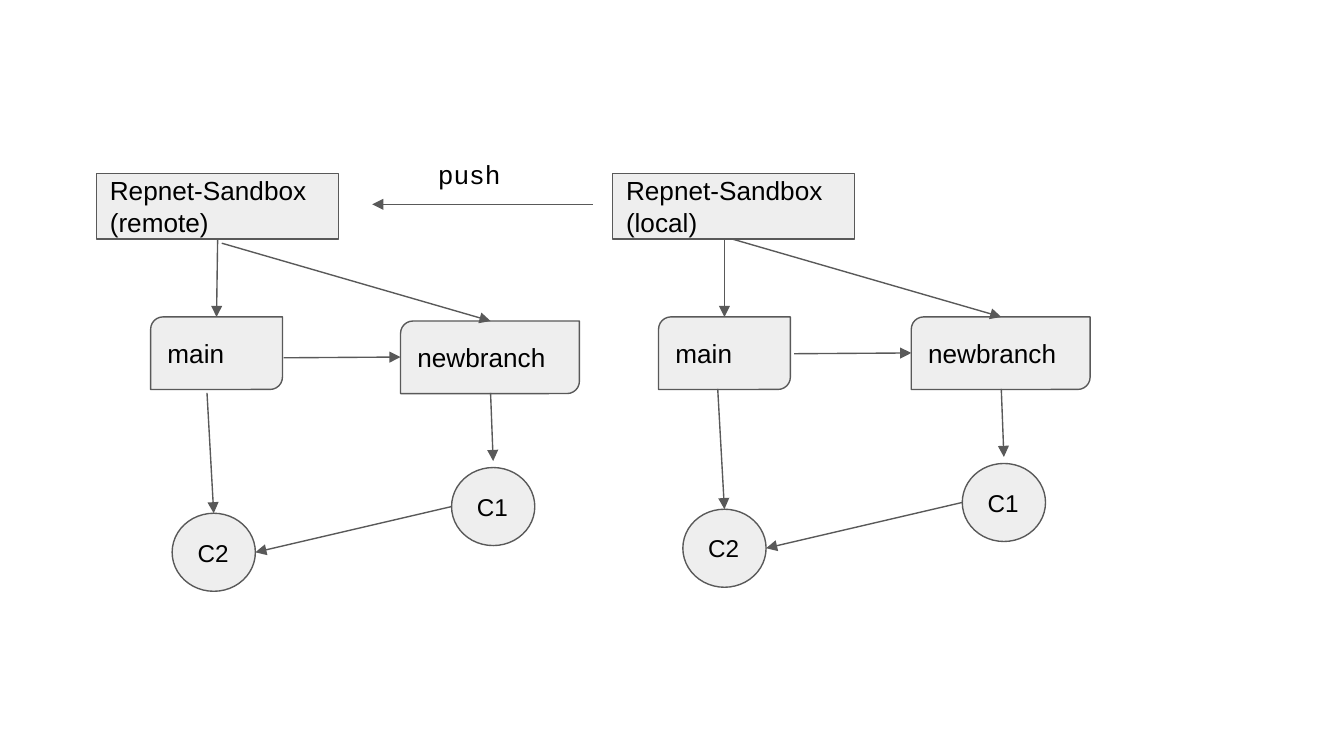
from pptx import Presentation
from pptx.util import Pt
from pptx.dml.color import RGBColor
from pptx.enum.shapes import MSO_SHAPE as Form, MSO_CONNECTOR as Link
from pptx.enum.text import PP_ALIGN as Align, MSO_ANCHOR as Anchor, MSO_AUTO_SIZE as Fit
from lxml.etree import SubElement

INK, EDGE, PALE = "000000", "595959", "EEEEEE"
DRAW = "{http://schemas.openxmlformats.org/drawingml/2006/main}"


def color(hue):
    """Turn a hex string into a colour."""
    return RGBColor.from_string(hue)


def write(shape, text, size, face="Arial"):
    """Set left-aligned text with even margins."""
    frame = shape.text_frame
    frame.word_wrap = True
    frame.margin_left = frame.margin_right = Pt(7.2)
    frame.margin_top = frame.margin_bottom = Pt(7.2)
    frame.text = text
    for para in frame.paragraphs:
        para.alignment = Align.LEFT
        para.font.size = Pt(size)
        para.font.name = face
        para.font.color.rgb = color(INK)
    return frame


def node(slide, form, box, text, size=14):
    """Add a pale outlined shape with text."""
    shape = slide.shapes.add_shape(form, *map(Pt, box))
    shape.shadow.inherit = False
    shape.fill.solid()
    shape.fill.fore_color.rgb = color(PALE)
    shape.line.color.rgb = color(EDGE)
    shape.line.width = Pt(0.75)
    write(shape, text, size).vertical_anchor = Anchor.MIDDLE
    return shape


def arrow(slide, *ends):
    """Add a line with a triangle at its end."""
    line = slide.shapes.add_connector(Link.STRAIGHT, *map(Pt, ends))
    line.line.color.rgb = color(EDGE)
    line.line.width = Pt(0.75)
    SubElement(line.line._get_or_add_ln(), DRAW + "tailEnd", type="triangle")
    SubElement(line._element.spPr, DRAW + "effectLst")


def repo(slide, left, top, place, head, trunk, stem, lift):
    """Draw one repository with its branches and commits."""
    high = top - lift
    node(slide, Form.RECTANGLE, (left + head, high, 129.6, 35.3),
         f"Repnet-Sandbox\n({place})")
    for x, y, wide, name in ((trunk, high, 70.6, "main"),
                             (135.4, top, 95.8, "newbranch")):
        branch = node(slide, Form.ROUND_2_DIAG_RECTANGLE,
                      (left + x, y + 77, wide, 38.9), name)
        branch.adjustments[0] = 0.17
        branch.adjustments[1] = 0
    for x, y, name in ((162.7, 155.5, "C1"), (13, 180, "C2")):
        node(slide, Form.OVAL, (left + x, top + y, 44.6, 41.8), name, 13)
    arrow(slide, left + stem, high + 35.3, left + trunk + 35.3, high + 77)
    for x1, y1, x2, y2 in ((39.6, 35.3, 183.6, 77),
                           (72.7, 96.7, 135.4, 96.3),
                           (183.6, 115.5, 185, 152),
                           (31.7, 115.5, 35.3, 180),
                           (162.7, 176.4, 57.6, 200.9)):
        arrow(slide, left + x1, top + y1, left + x2, top + y2)


def push(slide, left, top):
    """Draw the labelled arrow between the repositories."""
    label = slide.shapes.add_textbox(*map(Pt, (left + 28.1, top, 62.6, 31.7)))
    write(label, "push", 14, "Courier New").auto_size = Fit.SHAPE_TO_FIT_TEXT
    arrow(slide, left + 118.1, top + 31.7, left, top + 31.7)


deck = Presentation()
deck.slide_width, deck.slide_height = Pt(720), Pt(405)
slide = deck.slides.add_slide(deck.slide_layouts[6])
repo(slide, 79.2, 95, "remote", -27.4, 1.5, 37.4, 2.2)
repo(slide, 352.8, 92.8, "local", -24.5, 0, 35.3, 0)
push(slide, 199.4, 77.8)
deck.save("out.pptx")
